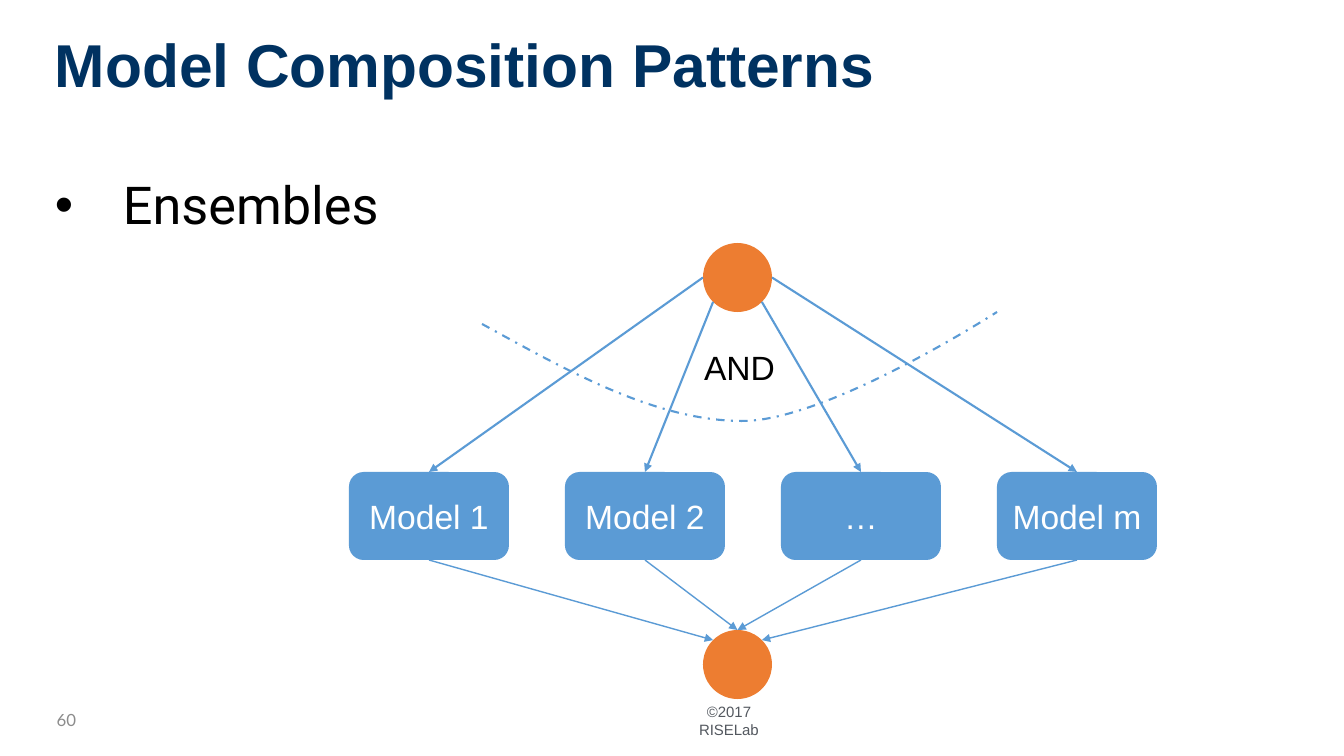
from math import cos, radians, sin

from lxml import etree
from pptx import Presentation
from pptx.dml.color import RGBColor
from pptx.enum.dml import MSO_LINE
from pptx.enum.shapes import MSO_CONNECTOR, MSO_SHAPE
from pptx.enum.text import MSO_ANCHOR, PP_ALIGN
from pptx.oxml.ns import qn
from pptx.util import Pt

# Content
TITLE = "Model Composition Patterns"
BULLET = "Ensembles"
MODELS = ["Model 1", "Model 2", "…", "Model m"]
JOIN = "AND"
FOOTER = "©2017 RISELab"
PAGE_NUMBER = "60"

# Lengths in px
EMU_PER_PX = 914400 / 100.8
PAGE_SIZE = (1344, 756)
MODEL_LEFT, MODEL_TOP, MODEL_PITCH = 349, 472, 216
MODEL_WIDTH, MODEL_HEIGHT = 160, 88
NODE_LEFT, NODE_SIZE = 703, 69
SOURCE_TOP, SINK_TOP = 243, 630
# Rim angles in degrees, clockwise from the right, one for each model
SOURCE_ANGLES = [180, 135, 45, 0]
SINK_ANGLES = [225, 270, 270, 315]
# Start point, then two cubic segments of three points each
ARC = [(482, 324), (571, 373), (659, 422), (745, 421),
       (831, 419), (997, 312), (997, 312)]

NAVY = RGBColor(0x00, 0x32, 0x61)
BLACK = RGBColor(0x00, 0x00, 0x00)
WHITE = RGBColor(0xFF, 0xFF, 0xFF)
BLUE = RGBColor(0x5B, 0x9B, 0xD5)
ORANGE = RGBColor(0xED, 0x7D, 0x31)
SLATE = RGBColor(0x53, 0x58, 0x5F)
GRAY = RGBColor(0x8C, 0x8C, 0x8C)

LEFT, CENTER, RIGHT = PP_ALIGN.LEFT, PP_ALIGN.CENTER, PP_ALIGN.RIGHT
TOP, MIDDLE = MSO_ANCHOR.TOP, MSO_ANCHOR.MIDDLE
ELLIPSE, ROUNDED = MSO_SHAPE.OVAL, MSO_SHAPE.ROUNDED_RECTANGLE
STRAIGHT, DASH_DOT = MSO_CONNECTOR.STRAIGHT, MSO_LINE.DASH_DOT


def px(*lengths):
    return [round(length * EMU_PER_PX) for length in lengths]


def write(shape, text, size=24, color=BLACK, font="Arial", bold=False,
          align=CENTER, anchor=MIDDLE, inset=10, spacing=None, bullet_indent=0):
    frame = shape.text_frame
    frame.word_wrap = True
    frame.vertical_anchor = anchor
    frame.margin_left, frame.margin_top, frame.margin_right, frame.margin_bottom = px(*[inset] * 4)
    para = frame.paragraphs[0]
    if bullet_indent:
        properties = para._p.get_or_add_pPr()
        indent = px(bullet_indent)[0]
        properties.set("marL", str(indent))
        properties.set("indent", str(-indent))
        etree.SubElement(properties, qn("a:buFont"), typeface="Arial")
        etree.SubElement(properties, qn("a:buChar"), char="•")
    para.alignment = align
    if spacing:
        para.line_spacing = spacing
    span = para.add_run()
    span.text = text
    span.font.name = font
    span.font.size = Pt(size)
    span.font.bold = bold
    span.font.color.rgb = color


def add_text(page, area, text, **style):
    write(page.shapes.add_textbox(*px(*area)), text, **style)


def add_filled(page, kind, area, color):
    shape = page.shapes.add_shape(kind, *px(*area))
    shape.shadow.inherit = False
    shape.fill.solid()
    shape.fill.fore_color.rgb = color
    shape.line.fill.background()
    return shape


def add_arrow(page, start, end, width):
    arrow = page.shapes.add_connector(STRAIGHT, *px(*start, *end))
    arrow.line.color.rgb = BLUE
    arrow.line.width = Pt(width)
    etree.SubElement(arrow.line._get_or_add_ln(), qn("a:tailEnd"), type="triangle")
    etree.SubElement(arrow._element.spPr, qn("a:effectLst"))


def add_arc(page):
    points = [px(*point) for point in ARC]
    builder = page.shapes.build_freeform(*points[0])
    builder.add_line_segments(points[1:], close=False)
    arc = builder.convert_to_shape()
    # Turn each three straight segments into one cubic curve
    outline = arc._element.spPr.find(".//" + qn("a:path"))
    segments = outline.findall(qn("a:lnTo"))
    for first in range(0, len(segments), 3):
        curve = etree.SubElement(outline, qn("a:cubicBezTo"))
        for segment in segments[first:first + 3]:
            curve.append(segment[0])
            outline.remove(segment)
    arc.shadow.inherit = False
    arc.fill.background()
    arc.line.color.rgb = BLUE
    arc.line.width = Pt(1.5)
    arc.line.dash_style = DASH_DOT
    return arc


def rim_point(top, angle):
    radius = NODE_SIZE / 2
    return (NODE_LEFT + radius + radius * cos(radians(angle)),
            top + radius + radius * sin(radians(angle)))


def main():
    deck = Presentation()
    deck.slide_width, deck.slide_height = px(*PAGE_SIZE)
    page = deck.slides.add_slide(deck.slide_layouts[6])

    # Heading, bullet and footer
    add_text(page, (679, 702, 100, 38), FOOTER, size=10.7, color=SLATE, inset=3)
    add_text(page, (45, 25, 1252, 85), TITLE, size=43.2, color=NAVY, bold=True,
             align=LEFT, anchor=TOP, spacing=0.9)
    add_text(page, (45, 169, 1252, 502), BULLET, size=37.3, font="Roboto",
             align=LEFT, anchor=TOP, spacing=0.9, bullet_indent=68)
    add_text(page, (5, 691, 81, 57), PAGE_NUMBER, size=12, color=GRAY,
             font="Lato", align=RIGHT)

    # Nodes, models and the arrows between them
    for top in (SOURCE_TOP, SINK_TOP):
        add_filled(page, ELLIPSE, (NODE_LEFT, top, NODE_SIZE, NODE_SIZE), ORANGE)
    for index, model in enumerate(MODELS):
        left = MODEL_LEFT + index * MODEL_PITCH
        middle = left + MODEL_WIDTH / 2
        box = add_filled(page, ROUNDED, (left, MODEL_TOP, MODEL_WIDTH, MODEL_HEIGHT), BLUE)
        write(box, model, color=WHITE, inset=5)
        add_arrow(page, rim_point(SOURCE_TOP, SOURCE_ANGLES[index]), (middle, MODEL_TOP), 1.5)
        add_arrow(page, (middle, MODEL_TOP + MODEL_HEIGHT),
                  rim_point(SINK_TOP, SINK_ANGLES[index]), 1)

    # Arc across the outgoing arrows
    write(add_arc(page), JOIN)

    deck.save("out.pptx")


if __name__ == "__main__":
    main()
